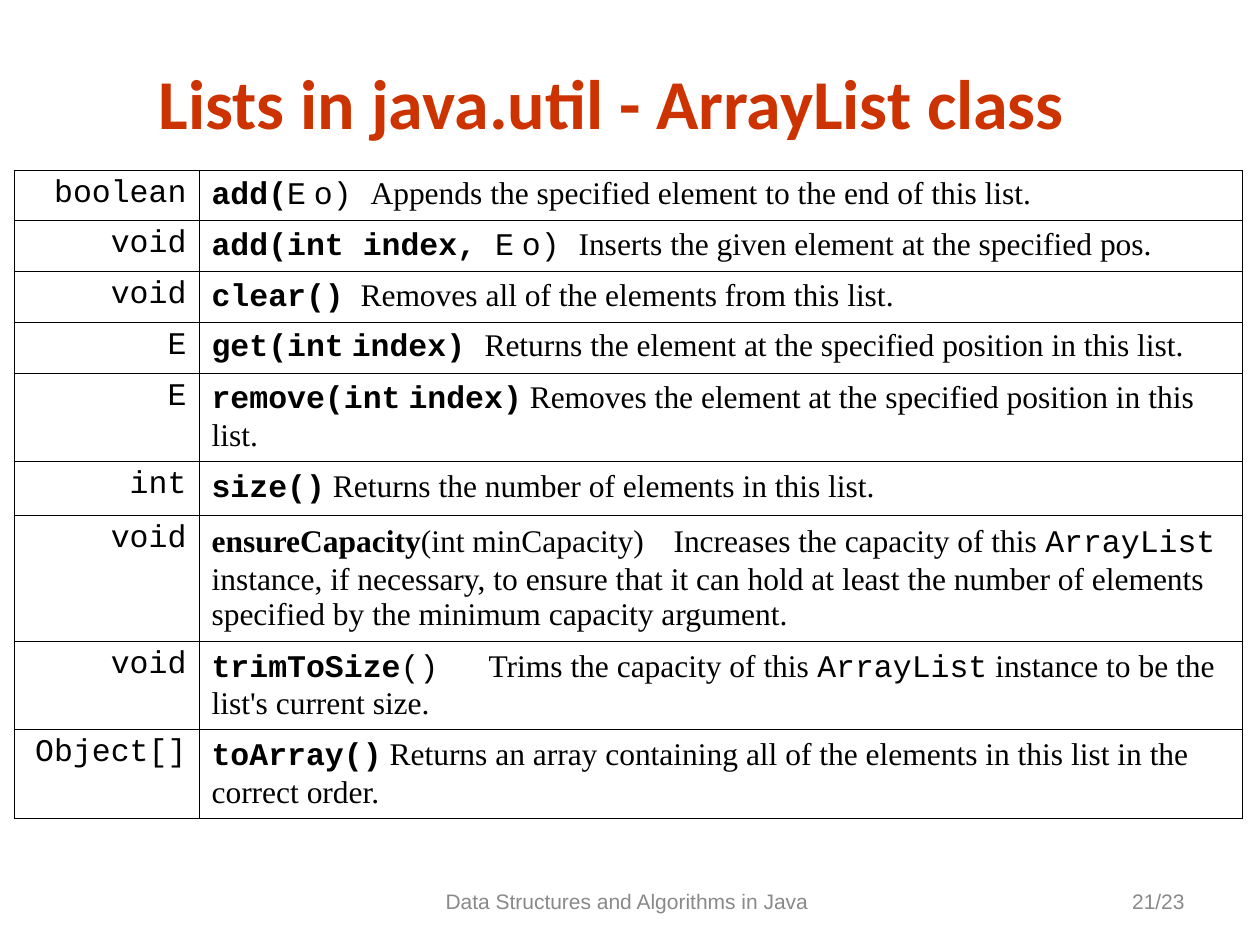
"""Build a slide that lists the methods of the ArrayList class."""
from lxml import etree
from pptx import Presentation
from pptx.dml.color import RGBColor
from pptx.enum.text import MSO_ANCHOR, MSO_AUTO_SIZE, PP_ALIGN
from pptx.oxml.ns import qn
from pptx.util import Inches, Pt

LEFT, MID, RIGHT = PP_ALIGN.LEFT, PP_ALIGN.CENTER, PP_ALIGN.RIGHT
TOP, CENTER = MSO_ANCHOR.TOP, MSO_ANCHOR.MIDDLE
NO_FIT = MSO_AUTO_SIZE.NONE
WIDTH, HEIGHT = 1260, 945
SCALE = Inches(10) / WIDTH
COLORS = {"title": "CC3300", "text": "000000", "foot": "898989", "paper": "FFFFFF"}
MONO, SERIF = "Courier New", "Times New Roman"
FACES = {"code": (MONO, False), "name": (MONO, True),
         "text": (SERIF, False), "bold": (SERIF, True)}
ARG = [("E", "code"), (" ", "text")]
INDEX = [(" ", "text"), ("index)", "name")]

ROWS = [
    (50, "boolean", 159, [("add(", "name"), *ARG, ("o)\t", "code"),
                          ("Appends the specified element to the end of this list.", "text")]),
    (51, "void", 367, [("add(int index, ", "name"), *ARG, ("o)\t", "code"),
                       ("Inserts the given element at the specified pos.", "text")]),
    (50, "void", 149, [("clear()", "name"),
                       ("\tRemoves all of the elements from this list.", "text")]),
    (51, "E", 273, [("get(int", "name"), *INDEX,
                    ("\tReturns the element at the specified position in this list.", "text")]),
    (88, "E", 0, [("remove(int", "name"), *INDEX,
                  (" Removes the element at the specified position in this list.", "text")]),
    (54, "int", 0, [("size()", "name"),
                    (" Returns the number of elements in this list.", "text")]),
    (126, "void", 462, [("ensureCapacity", "bold"),
                        ("(int minCapacity)\tIncreases the capacity of this ", "text"),
                        ("ArrayList", "code"),
                        (" instance, if necessary, to ensure that it can hold at least the number "
                         "of elements specified by the minimum capacity argument.", "text")]),
    (88, "void", 277, [("trimToSize", "name"), ("()", "code"),
                       ("\tTrims the capacity of this ", "text"), ("ArrayList", "code"),
                       (" instance to be the list's current size.", "text")]),
    (89, "Object[]", 0, [("toArray()", "name"),
                         (" Returns an array containing all of the elements in this list "
                          "in the correct order.", "text")]),
]


def px(n):
    return round(n * SCALE)


class Deck:
    """Hold the style and the current slide."""

    def __init__(self):
        self.prs = Presentation()
        self.prs.slide_width, self.prs.slide_height = px(WIDTH), px(HEIGHT)
        self.slide = self.prs.slides.add_slide(self.prs.slide_layouts[5])

    def style(self, font, face, size, color, bold=False):
        font.name, font.size, font.bold = face, Pt(size), bold
        font.color.rgb = RGBColor.from_string(COLORS[color])

    def label(self, frame, text, align, *look):
        para = frame.paragraphs[0]
        para.text, para.alignment = text, align
        self.style(para.font, *look)

    def title(self, text, x, y, w, h):
        box = self.slide.shapes.title
        box.left, box.top, box.width, box.height = map(px, (x, y, w, h))
        frame = box.text_frame
        frame.auto_size, frame.vertical_anchor = NO_FIT, CENTER
        self.label(frame, text, MID, "Calibri", 40, "title", True)

    def note(self, text, x, y, w, h, align):
        frame = self.slide.shapes.add_textbox(*map(px, (x, y, w, h))).text_frame
        frame.word_wrap, frame.vertical_anchor = True, CENTER
        self.label(frame, text, align, "Arial", 12, "foot")

    def edge(self, cell):
        props = cell._tc.get_or_add_tcPr()
        for i, side in enumerate(("lnL", "lnR", "lnT", "lnB")):
            line = etree.Element(qn("a:" + side), w=str(Pt(0.34)))
            fill = etree.SubElement(line, qn("a:solidFill"))
            etree.SubElement(fill, qn("a:srgbClr"), val=COLORS["text"])
            props.insert(i, line)

    def stop(self, para, pos):
        tabs = etree.Element(qn("a:tabLst"))
        etree.SubElement(tabs, qn("a:tab"), pos=str(px(pos)), algn="l")
        para._p.get_or_add_pPr().insert(0, tabs)

    def cell(self, cell, anchor):
        cell.fill.solid()
        cell.fill.fore_color.rgb = RGBColor.from_string(COLORS["paper"])
        cell.vertical_anchor = anchor
        self.edge(cell)
        return cell.text_frame

    def table(self, x, y, cols, rows):
        high = sum(row[0] for row in rows)
        area = map(px, (x, y, sum(cols), high))
        grid = self.slide.shapes.add_table(len(rows), len(cols), *area).table
        grid.first_row = grid.horz_banding = False
        for col, w in zip(grid.columns, cols):
            col.width = px(w)
        for i, (h, kind, tab, runs) in enumerate(rows):
            grid.rows[i].height = px(h)
            self.label(self.cell(grid.cell(i, 0), TOP), kind, RIGHT, MONO, 18, "text")
            para = self.cell(grid.cell(i, 1), CENTER).paragraphs[0]
            para.alignment = LEFT
            if tab:
                self.stop(para, tab)
            for text, key in runs:
                run = para.add_run()
                run.text = text
                face, bold = FACES[key]
                self.style(run.font, face, 18, "text", bold)


def main():
    deck = Deck()
    deck.note("Data Structures and Algorithms in Java ", 399, 876, 462, 50, MID)
    deck.note("21/23", 903, 876, 294, 50, RIGHT)
    deck.title("Lists in java.util - ArrayList class ", 0, 53, 1239, 97)
    deck.table(14, 170, (185, 1043), ROWS)
    deck.prs.save("out.pptx")


if __name__ == "__main__":
    main()
